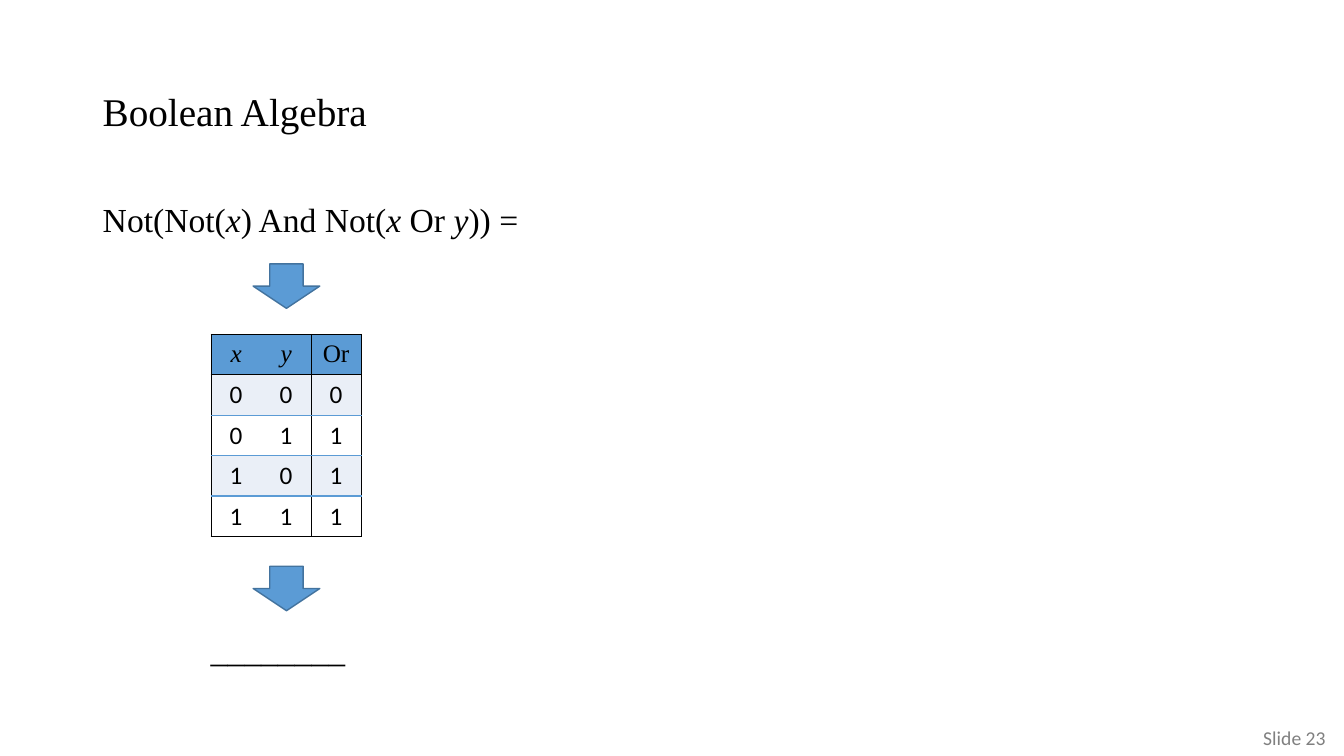
from dataclasses import dataclass

from lxml.etree import SubElement
from pptx import Presentation
from pptx.dml.color import RGBColor
from pptx.enum.shapes import MSO_SHAPE as Shape
from pptx.enum.text import MSO_ANCHOR as Anchor, PP_ALIGN as Align
from pptx.oxml.ns import qn
from pptx.util import Cm, Pt


@dataclass(frozen=True)
class Theme:
    """Colours, fonts and type sizes of the slide."""
    ink: str = "000000"
    accent: str = "5B9BD5"
    accent_line: str = "43739E"
    band: str = "EAEFF7"
    paper: str = "FFFFFF"
    muted: str = "808080"
    serif: str = "Times New Roman"
    sans: str = "Calibri"
    title_size: int = 28
    body_size: int = 24
    table_size: int = 18
    footer_size: int = 14


def write_text(paragraph, text, *, size, font, color, align=None, spacing=None, before=None, indent=None):
    """Write text into a paragraph, setting the parts between asterisks in italics."""
    paragraph.alignment = align
    paragraph.line_spacing = spacing
    if before is not None:
        paragraph.space_before = Pt(before)
    if indent is not None:
        paragraph._p.get_or_add_pPr().set("marL", str(Cm(indent)))
    for index, part in enumerate(text.split("*")):
        if part:
            run = paragraph.add_run()
            run.text = part
            run.font.size = Pt(size)
            run.font.name = font
            run.font.italic = index % 2 == 1
            run.font.color.rgb = RGBColor.from_string(color)


class SlideBuilder:
    """Draw styled elements on the current slide."""

    def __init__(self, slide, theme):
        """Keep the slide and its theme."""
        self.slide = slide
        self.theme = theme

    def text_box(self, left, top, width, height, texts, anchor=Anchor.TOP, side_inset=0.25):
        """Add a text box with one paragraph for each text and its format."""
        box = self.slide.shapes.add_textbox(Cm(left), Cm(top), Cm(width), Cm(height))
        frame = box.text_frame
        frame.word_wrap = True
        frame.vertical_anchor = anchor
        frame.margin_left = frame.margin_right = Cm(side_inset)
        for index, (text, text_format) in enumerate(texts):
            paragraph = frame.add_paragraph() if index else frame.paragraphs[0]
            write_text(paragraph, text, **text_format)

    def down_arrow(self, left, top, width, height):
        """Add a block arrow that points down."""
        arrow = self.slide.shapes.add_shape(Shape.DOWN_ARROW, Cm(left), Cm(top), Cm(width), Cm(height))
        arrow.shadow.inherit = False
        arrow.fill.solid()
        arrow.fill.fore_color.rgb = RGBColor.from_string(self.theme.accent)
        arrow.line.color.rgb = RGBColor.from_string(self.theme.accent_line)
        arrow.line.width = Pt(1)

    def cell_border(self, cell, edge, color):
        """Draw one cell edge, or clear it when there is no colour."""
        line = SubElement(cell._tc.get_or_add_tcPr(), qn(f"a:ln{edge}"), w=str(Pt(1)))
        if color:
            SubElement(SubElement(line, qn("a:solidFill")), qn("a:srgbClr"), val=color)
        else:
            SubElement(line, qn("a:noFill"))

    def truth_table(self, left, top, column_width, row_height, rows):
        """Add a truth table whose last column holds the result."""
        theme = self.theme
        row_count, column_count = len(rows), len(rows[0])
        table = self.slide.shapes.add_table(
            row_count, column_count, Cm(left), Cm(top),
            Cm(column_width * column_count), Cm(row_height * row_count)).table
        for column in table.columns:
            column.width = Cm(column_width)
        horizontal = [theme.ink] * 2 + [theme.accent] * (row_count - 2) + [theme.ink]
        vertical = [theme.ink] + [None] * (column_count - 2) + [theme.ink] * 2
        for row_index, row in enumerate(rows):
            table.rows[row_index].height = Cm(row_height)
            header = row_index == 0
            fill = theme.accent if header else theme.band if row_index % 2 else theme.paper
            font = theme.serif if header else theme.sans
            for column_index, text in enumerate(row):
                cell = table.cell(row_index, column_index)
                write_text(cell.text_frame.paragraphs[0], text, size=theme.table_size,
                           font=font, color=theme.ink, align=Align.CENTER)
                self.cell_border(cell, "L", vertical[column_index])
                self.cell_border(cell, "R", vertical[column_index + 1])
                self.cell_border(cell, "T", horizontal[row_index])
                self.cell_border(cell, "B", horizontal[row_index + 1])
                cell.fill.solid()
                cell.fill.fore_color.rgb = RGBColor.from_string(fill)


def main():
    """Build the slide and save it."""
    presentation = Presentation()
    presentation.slide_width, presentation.slide_height = Cm(33.87), Cm(19.05)
    theme = Theme()
    builder = SlideBuilder(presentation.slides.add_slide(presentation.slide_layouts[6]), theme)

    footer = dict(size=theme.footer_size, font=theme.sans, color=theme.muted, align=Align.RIGHT)
    title = dict(size=theme.title_size, font=theme.serif, color=theme.ink, spacing=0.9)
    body = dict(size=theme.body_size, font=theme.serif, color=theme.ink, spacing=0.8)

    builder.text_box(2.29, 18.16, 31.12, 0.86, [("Slide 23", footer)], Anchor.MIDDLE, side_inset=0)
    builder.text_box(2.34, 1.02, 21.59, 3.68, [("Boolean Algebra", title)], Anchor.MIDDLE)
    builder.text_box(2.34, 5.08, 21.59, 12.09, [
        ("Not(Not(*x*) And Not(*x* Or *y*)) =", body),
        ("*________*", dict(body, before=284, indent=2.72)),
    ])
    outcomes = [[str(x), str(y), str(x | y)] for x in (0, 1) for y in (0, 1)]
    builder.truth_table(5.32, 8.43, 1.26, 0.97, [["*x*", "*y*", "Or"], *outcomes])
    for arrow_top in (6.65, 14.27):
        builder.down_arrow(6.38, arrow_top, 1.68, 1.12)

    presentation.save("out.pptx")


if __name__ == "__main__":
    main()
